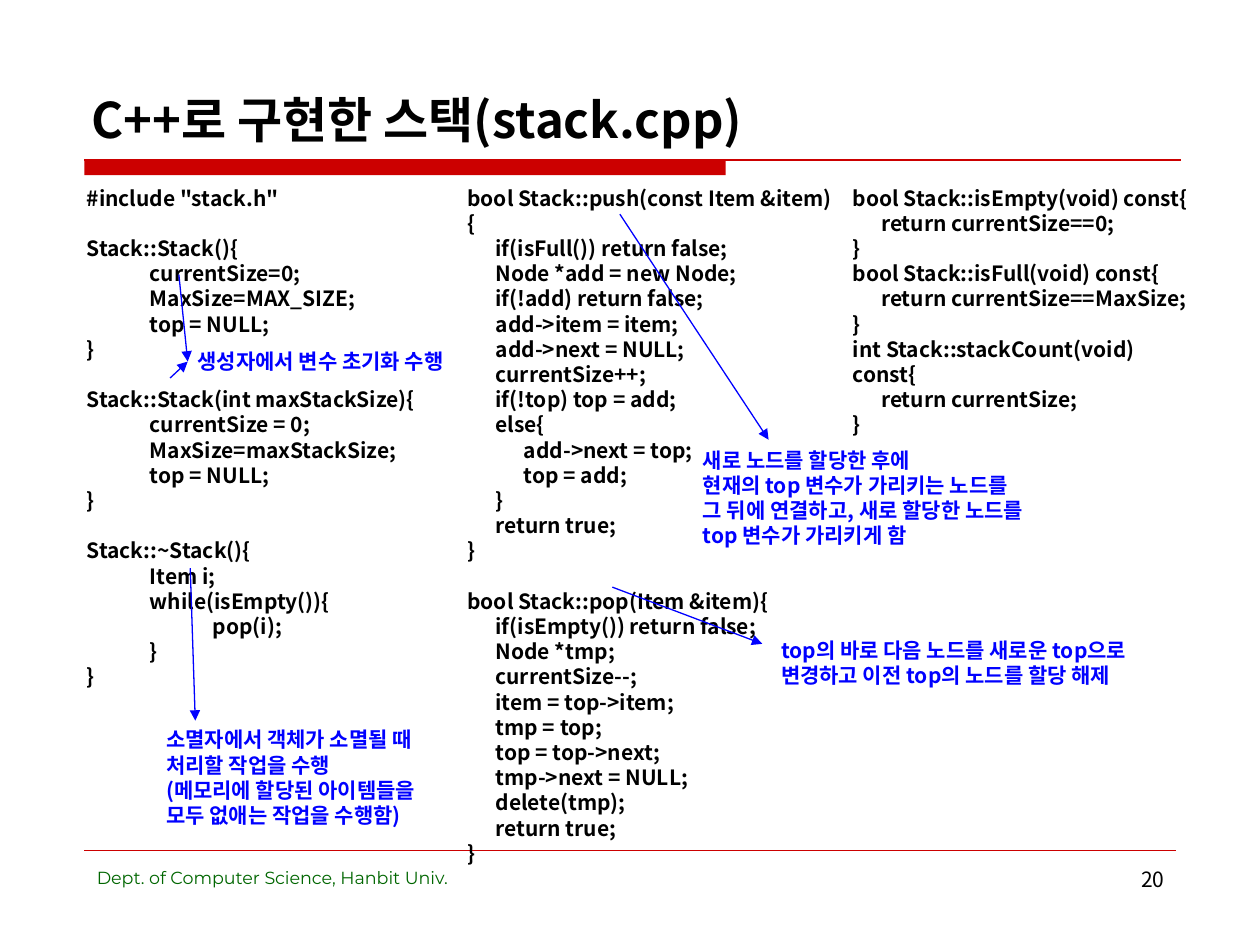
from lxml.etree import SubElement
from pptx import Presentation
from pptx.dml.color import RGBColor
from pptx.enum.shapes import MSO_CONNECTOR as Connector, MSO_SHAPE as Shape
from pptx.enum.text import MSO_ANCHOR as Anchor, PP_ALIGN as Align
from pptx.oxml.ns import qn
from pptx.util import Inches, Pt

BLACK = RGBColor(0x00, 0x00, 0x00)
BLUE = RGBColor(0x00, 0x00, 0xFF)
RED = RGBColor(0xCC, 0x00, 0x00)
GREEN = RGBColor(0x00, 0x66, 0x00)
SANS = "Noto Sans CJK KR"
LINE_PITCH = Pt(14.4)
INDENT = 0.225

CONSTRUCTORS = """#include "stack.h"

Stack::Stack(){
\tcurrentSize=0;
\tMaxSize=MAX_SIZE;
\ttop = NULL;
}

Stack::Stack(int maxStackSize){
\tcurrentSize = 0;
\tMaxSize=maxStackSize;
\ttop = NULL;
}

Stack::~Stack(){
\tItem i;
\twhile(isEmpty()){
\t\tpop(i);
\t}
}"""

PUSH_AND_POP = """bool Stack::push(const Item &item)\v{
    if(isFull()) return false;
    Node *add = new Node;
    if(!add) return false;
    add->item = item;
    add->next = NULL;
    currentSize++;
    if(!top) top = add;
    else{
        add->next = top;
        top = add;
    }
    return true;
}

bool Stack::pop(Item &item){
    if(isEmpty()) return false;
    Node *tmp;
    currentSize--;
    item = top->item;
    tmp = top;
    top = top->next;
    tmp->next = NULL;
    delete(tmp);
    return true;
}"""

QUERIES = """bool Stack::isEmpty(void) const{
    return currentSize==0;
}
bool Stack::isFull(void) const{
    return currentSize==MaxSize;
}
int Stack::stackCount(void) const{
    return currentSize;
}"""

CODE_COLUMNS = [
    ((0.59, 1.42, 3.07, 4.14), CONSTRUCTORS),
    ((3.61, 1.42, 3.28, 5.35), PUSH_AND_POP),
    ((6.67, 1.42, 2.9, 1.9), QUERIES),
]
NOTES = [
    ((1.47, 2.72, 2.39, 0.3), "생성자에서 변수 초기화 수행"),
    ((1.22, 5.72, 2.35, 0.91),
     "소멸자에서 객체가 소멸될 때\n처리할 작업을 수행\n"
     "(메모리에 할당된 아이템들을\v모두 없애는 작업을 수행함)"),
    ((5.48, 3.5, 3, 0.91),
     "새로 노드를 할당한 후에\n현재의 top 변수가 가리키는 노드를\n"
     "그 뒤에 연결하고, 새로 할당한 노드를\ntop 변수가 가리키게 함"),
    ((6.1, 5.01, 3.12, 0.5),
     "top의 바로 다음 노드를 새로운 top으로\n변경하고 이전 top의 노드를 할당 해제"),
]
ARROWS = [
    ((1.42, 2.18), (1.49, 2.87)),
    ((1.35, 3), (1.49, 2.87)),
    ((1.51, 4.51), (1.55, 5.72)),
    ((4.92, 1.7), (6.1, 3.49)),
    ((4.86, 4.66), (6.05, 5.11)),
]


def style(para, size, color, bold=False, name=SANS):
    """Set one font for Latin and Korean text on a whole paragraph."""
    para.font.size = Pt(size)
    para.font.bold = bold
    para.font.color.rgb = color
    para.font.name = name
    SubElement(para._p.pPr.find(qn("a:defRPr")), qn("a:ea")).set("typeface", name)


def add_box(page, box):
    """Add an empty wrapping text box and return its frame."""
    frame = page.shapes.add_textbox(*map(Inches, box)).text_frame
    frame.word_wrap = True
    return frame


def add_label(page, box, text, size, color, bold=False, name=SANS,
              align=Align.LEFT, anchor=Anchor.TOP):
    """Add a text box that holds a single line."""
    frame = add_box(page, box)
    frame.vertical_anchor = anchor
    para = frame.paragraphs[0]
    para.text = text
    para.alignment = align
    style(para, size, color, bold, name)


def add_lines(page, box, text, color):
    """Add bold lines, turning empty lines into spacing and spaces into indents."""
    frame = add_box(page, box)
    para, gap = frame.paragraphs[0], False
    for line in text.split("\n"):
        if not line:
            gap = True
            continue
        if para.text:
            para = frame.add_paragraph()
        code = line.lstrip(" ")
        para.text = code
        para.line_spacing = LINE_PITCH
        if gap:
            para.space_before = LINE_PITCH
        level = (len(line) - len(code)) // 4
        if level:
            para._p.get_or_add_pPr().set("marL", str(Inches(level * INDENT)))
        style(para, 12, color, bold=True)
        gap = False


def add_line(page, start, end, color, width, arrow=False):
    """Draw a straight line, with an arrowhead at its end if asked."""
    line = page.shapes.add_connector(
        Connector.STRAIGHT, *map(Inches, (*start, *end)))
    line.line.color.rgb = color
    line.line.width = Pt(width)
    if arrow:
        SubElement(line.line._get_or_add_ln(), qn("a:tailEnd")).set("type", "triangle")
    SubElement(line._element.spPr, qn("a:effectLst"))


def add_header(page, left, top, width):
    """Place the title above a red bar that runs on as a thin rule."""
    add_label(page, (left - 0.04, top - 0.94, width + 0.05, 0.9),
              "C++로 구현한 스택(stack.cpp)", 28, BLACK, bold=True, anchor=Anchor.BOTTOM)
    bar = page.shapes.add_shape(
        Shape.RECTANGLE, *map(Inches, (left, top, 5.09, 0.12)))
    bar.shadow.inherit = False
    bar.fill.solid()
    bar.fill.fore_color.rgb = RED
    bar.line.fill.background()
    add_line(page, (left, top), (left + width, top), RED, 0.75)


def add_footer(page, left, top, width):
    """Place the footer rule, the department and the page number."""
    right = left + width
    add_line(page, (left, top), (right, top), RED, 0.25)
    add_label(page, (left, top + 0.08, 4.02, 0.52),
              "Dept. of Computer Science, Hanbit Univ.", 10, GREEN, name="Montserrat")
    add_label(page, (right - 2.16, top + 0.08, 2.17, 0.52), "20", 12, BLACK,
              align=Align.RIGHT)


def build_code_slide(page):
    """Fill the page with code columns, notes and arrows."""
    add_header(page, 0.67, 1.27, 8.7)
    add_footer(page, 0.67, 6.75, 8.66)
    for box, code in CODE_COLUMNS:
        add_lines(page, box, code, BLACK)
    for box, note in NOTES:
        add_lines(page, box, note, BLUE)
    for start, end in ARROWS:
        add_line(page, start, end, BLUE, 0.75, arrow=True)


deck = Presentation()
deck.slide_width, deck.slide_height = Inches(10), Inches(7.5)
build_code_slide(deck.slides.add_slide(deck.slide_layouts[6]))
deck.save("out.pptx")
